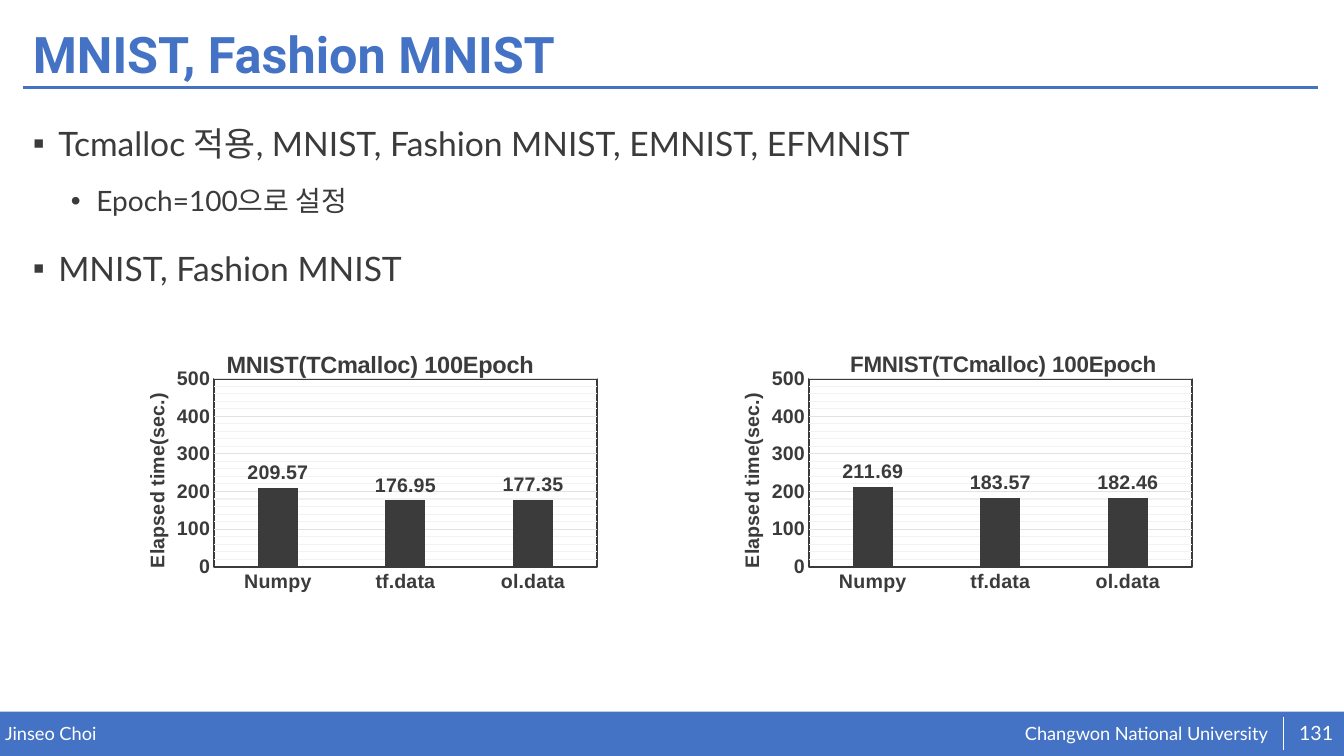
from lxml.etree import SubElement
from pptx import Presentation
from pptx.chart.data import CategoryChartData
from pptx.dml.color import RGBColor
from pptx.enum.chart import XL_CHART_TYPE, XL_LABEL_POSITION, XL_TICK_MARK
from pptx.enum.shapes import MSO_CONNECTOR, MSO_SHAPE
from pptx.enum.text import MSO_ANCHOR, PP_ALIGN
from pptx.oxml import parse_xml
from pptx.oxml.ns import nsdecls, qn
from pptx.util import Cm, Pt

BLUE, DARK, WHITE = "4472C4", "3B3B3B", "FFFFFF"
MAJOR_GRID, MINOR_GRID = "E2E2E2", "F2F2F2"


def colour(code):
    return RGBColor.from_string(code)


def set_all(target, values):
    for name, value in values.items():
        setattr(target, name, value)


def set_font(font, size, code, name, bold=False):
    set_all(font, {"size": Pt(size), "name": name, "bold": bold})
    font.color.rgb = colour(code)


def set_line(line, code, width):
    line.color.rgb = colour(code)
    line.width = Pt(width)


def place(layout, **settings):
    """Fill a chart layout element with fractions of the chart's size."""
    manual = SubElement(layout, qn("c:manualLayout"))
    for name, value in settings.items():
        SubElement(manual, qn(f"c:{name}")).set("val", str(value))


def area_format(fill, line):
    return parse_xml(f"<c:spPr {nsdecls('c', 'a')}>{fill}{line}</c:spPr>")


def solid(code):
    return f'<a:solidFill><a:srgbClr val="{code}"/></a:solidFill>'


def outline(code, width):
    return f'<a:ln w="{Pt(width)}">{solid(code)}</a:ln>'


class SlideBuilder:
    text_font, title_font, chart_font = "Lato", "Roboto", "Arial"
    levels = [  # bullet, left indent in cm, text size, space before
        ("▪", 0.64, 24, 10),
        ("•", 1.6, 20, 5),
    ]

    def __init__(self, page):
        self.page = page

    def band(self, left, top, width, height, code):
        box = self.page.shapes.add_shape(
            MSO_SHAPE.RECTANGLE, Cm(left), Cm(top), Cm(width), Cm(height))
        box.shadow.inherit = False
        box.fill.solid()
        box.fill.fore_color.rgb = colour(code)
        box.line.fill.background()

    def line(self, start, end, code, width):
        rule = self.page.shapes.add_connector(
            MSO_CONNECTOR.STRAIGHT, *map(Cm, start + end))
        set_line(rule.line, code, width)
        SubElement(rule._element.spPr, qn("a:effectLst"))

    def frame(self, left, top, width, height, **settings):
        box = self.page.shapes.add_textbox(
            Cm(left), Cm(top), Cm(width), Cm(height))
        set_all(box.text_frame, {"word_wrap": True, **settings})
        return box.text_frame

    def title(self, text):
        frame = self.frame(0.58, 0.46, 32.66, 1.96,
                           vertical_anchor=MSO_ANCHOR.MIDDLE)
        para = frame.paragraphs[0]
        para.line_spacing = 0.9
        span = para.add_run()
        span.text = text
        set_font(span.font, 36, BLUE, self.title_font, True)

    def footer(self, text, left, top, width, height, size=13, align=PP_ALIGN.LEFT,
               anchor=MSO_ANCHOR.TOP):
        frame = self.frame(left, top, width, height, vertical_anchor=anchor,
                           margin_left=0, margin_right=0,
                           margin_top=0, margin_bottom=0)
        para = frame.paragraphs[0]
        para.alignment = align
        span = para.add_run()
        span.text = text
        set_font(span.font, size, WHITE, self.text_font)

    def bullets(self, items):
        frame = self.frame(0.58, 2.57, 32.66, 14.3)
        for number, (level, text) in enumerate(items):
            para = frame.add_paragraph() if number else frame.paragraphs[0]
            bullet, indent, size, before = self.levels[level]
            set_all(para, {"level": level, "line_spacing": 1.4,
                           "space_before": Pt(before if number else 0)})
            properties = para._p.get_or_add_pPr()
            properties.set("marL", str(Cm(indent)))
            properties.set("indent", str(Cm(-0.64)))
            SubElement(properties, qn("a:buFont")).set("typeface", self.chart_font)
            SubElement(properties, qn("a:buChar")).set("char", bullet)
            span = para.add_run()
            span.text = text
            set_font(span.font, size, DARK, self.text_font)

    def chart_text(self, title, text, size, x, y):
        para = title.text_frame.paragraphs[0]
        span = para.add_run()
        span.text = text
        set_font(span.font, size, DARK, self.chart_font, True)
        place(title._element.find(qn("c:layout")),
              xMode="edge", yMode="edge", x=x, y=y)

    def column_chart(self, left, title, title_size, title_x, title_y, values):
        data = CategoryChartData(number_format="0.00")
        data.categories = ["Numpy", "tf.data", "ol.data"]
        data.add_series("Series 1", values)
        chart = self.page.shapes.add_chart(
            XL_CHART_TYPE.COLUMN_CLUSTERED,
            Cm(left), Cm(8.43), Cm(12.13), Cm(6.93), data).chart
        chart.has_legend = False
        set_font(chart.font, 14, DARK, self.chart_font, True)
        self.chart_text(chart.chart_title, title, title_size, title_x, title_y)

        plot = chart.plots[0]
        set_all(plot, {"gap_width": 219, "overlap": -27,
                       "vary_by_categories": False, "has_data_labels": True})
        set_all(plot.data_labels, {"show_value": True,
                                   "position": XL_LABEL_POSITION.OUTSIDE_END})
        set_font(plot.data_labels.font, 14, DARK, self.chart_font, True)
        bars = plot.series[0].format.fill
        bars.solid()
        bars.fore_color.rgb = colour(DARK)
        self.axes(chart)
        self.areas(chart)

    def axes(self, chart):
        names, seconds = chart.category_axis, chart.value_axis
        for axis in (names, seconds):
            set_all(axis, {"major_tick_mark": XL_TICK_MARK.NONE,
                           "minor_tick_mark": XL_TICK_MARK.NONE})
            set_font(axis.tick_labels.font, 14, DARK, self.chart_font, True)
        set_line(names.format.line, DARK, 1.5)
        set_all(seconds, {"minimum_scale": 0, "maximum_scale": 500,
                          "major_unit": 100, "minor_unit": 20,
                          "has_major_gridlines": True,
                          "has_minor_gridlines": True})
        set_all(seconds.tick_labels, {"number_format": "0",
                                      "number_format_is_linked": False})
        seconds.format.line.fill.background()
        set_line(seconds.major_gridlines.format.line, MAJOR_GRID, 0.75)
        minor_grid = seconds._element.find(qn("c:minorGridlines"))
        minor_grid.append(area_format("", outline(MINOR_GRID, 0.75)))
        self.chart_text(seconds.axis_title, "Elapsed time(sec.)", 14, 0.02, 0.2)

    def areas(self, chart):
        """Set the place and border of the plot and the white chart ground."""
        root = chart._chartSpace.chart
        plot_area = root.plotArea
        layout = plot_area.find(qn("c:layout"))
        if layout is None:
            layout = parse_xml(f"<c:layout {nsdecls('c')}/>")
            plot_area.insert(0, layout)
        place(layout, layoutTarget="inner", xMode="edge", yMode="edge",
              x=0.173, y=0.16, w=0.795, h=0.685)
        plot_area.append(area_format("<a:noFill/>", outline(DARK, 1.5)))
        root.addnext(area_format(solid(WHITE), "<a:ln><a:noFill/></a:ln>"))


def main():
    deck = Presentation()
    set_all(deck, {"slide_width": Cm(33.87), "slide_height": Cm(19.05)})
    builder = SlideBuilder(deck.slides.add_slide(deck.slide_layouts[6]))

    builder.band(0, 17.93, 33.87, 1.12, BLUE)
    builder.footer("Changwon National University", 25.83, 18.19, 6.45, 0.58)
    builder.footer("Jinseo Choi", 0.13, 18.21, 16.64, 0.56)
    builder.line((0.58, 2.21), (33.22, 2.21), BLUE, 2)
    builder.line((32.33, 18.06), (32.33, 18.9), WHITE, 0.5)
    builder.bullets([
        (0, "Tcmalloc 적용, MNIST, Fashion MNIST, EMNIST, EFMNIST"),
        (1, "Epoch=100으로 설정"),
        (0, "MNIST, Fashion MNIST"),
    ])
    builder.title("MNIST, Fashion MNIST")
    builder.footer("131", 32.56, 17.96, 1.22, 1.02, 14,
                   PP_ALIGN.CENTER, MSO_ANCHOR.MIDDLE)
    builder.column_chart(3.3, "MNIST(TCmalloc) 100Epoch", 16.8, 0.19, 0.04,
                         (209.57, 176.95, 177.35))
    builder.column_chart(18.29, "FMNIST(TCmalloc) 100Epoch", 16, 0.25, 0.04,
                         (211.69, 183.57, 182.46))
    deck.save("out.pptx")


if __name__ == "__main__":
    main()
